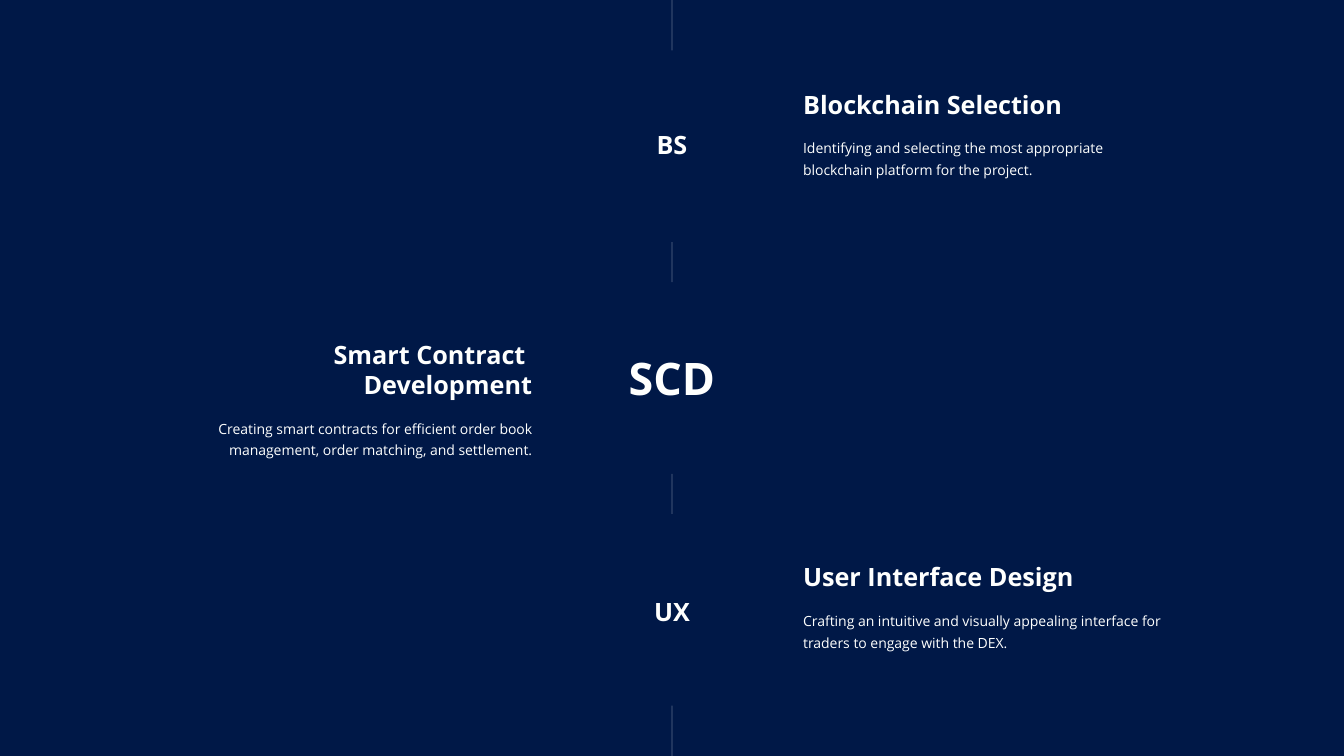
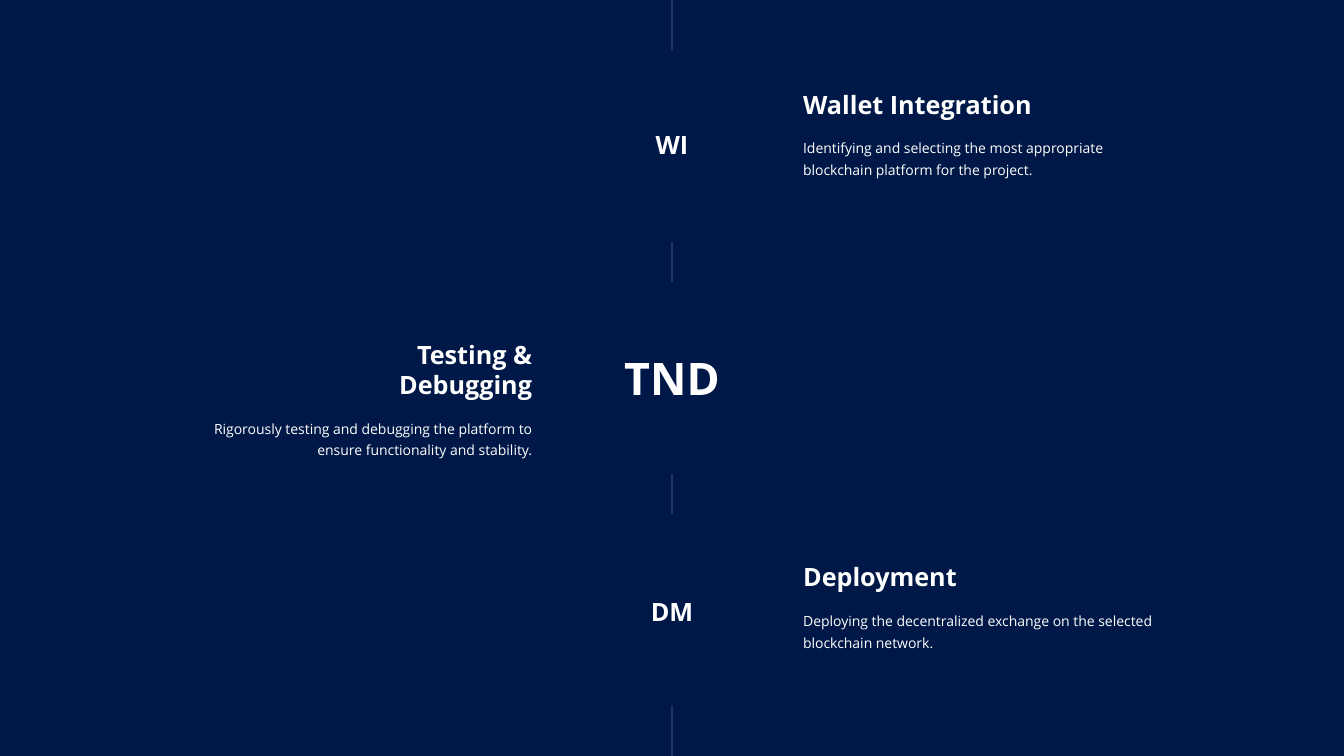
from dataclasses import dataclass

from lxml.etree import SubElement
from pptx import Presentation
from pptx.dml.color import RGBColor
from pptx.enum.shapes import MSO_CONNECTOR
from pptx.enum.text import MSO_AUTO_SIZE, PP_ALIGN
from pptx.oxml.ns import qn
from pptx.util import Cm, Pt


@dataclass(frozen=True)
class Theme:
    """Colours and type sizes shared by the slides."""
    background: RGBColor = RGBColor(0x00, 0x18, 0x47)
    ink: RGBColor = RGBColor(0xFE, 0xFF, 0xFE)
    font: str = "Open Sans"
    badge_large: int = 32
    heading: int = 18
    body: int = 10
    body_spacing: float = 1.3
    line_width: int = 1
    line_opacity: int = 20


@dataclass(frozen=True)
class Step:
    """One stage of the timeline."""
    badge: str
    heading: tuple
    heading_width: float
    body: str


THEME = Theme()

# Layout, in centimetres
SLIDE_W, SLIDE_H = 33.87, 19.05
AXIS_X = SLIDE_W / 2
BADGE_PITCH = 5.89
SEGMENT_START, SEGMENT_PITCH, SEGMENT_LENGTH = 0.26, 5.84, 1.01
COLUMN_W, RIGHT_COLUMN, LEFT_COLUMN_END = 9.14, 20.24, 13.41
HEADING_TOPS = (2.11, 8.41, 14.02)
HEADING_LINE, INSET, HEADING_GAP = 0.77, 0.13, 0.12
BODY_H = 1.37

TIMELINES = (
    (
        Step("BS", ("Blockchain Selection",), 6.6,
             "Identifying and selecting the most appropriate "
             "blockchain platform for the project."),
        Step("SCD", ("Smart Contract ", "Development"), 5.1,
             "Creating smart contracts for efficient order book "
             "management, order matching, and settlement."),
        Step("UX", ("User Interface Design",), 6.9,
             "Crafting an intuitive and visually appealing interface "
             "for traders to engage with the DEX."),
    ),
    (
        Step("WI", ("Wallet Integration",), 6.6,
             "Identifying and selecting the most appropriate "
             "blockchain platform for the project."),
        Step("TND", ("Testing &", "Debugging"), 3.4,
             "Rigorously testing and debugging the platform to "
             "ensure functionality and stability."),
        Step("DM", ("Deployment",), 3.95,
             "Deploying the decentralized exchange on the selected "
             "blockchain network."),
    ),
)


def add_text(s, box, lines, size, align, bold=False, spacing=None):
    """Add a text box with one paragraph per line."""
    tf = s.shapes.add_textbox(*map(Cm, box)).text_frame
    tf.word_wrap = True
    tf.auto_size = MSO_AUTO_SIZE.SHAPE_TO_FIT_TEXT
    tf.margin_left = tf.margin_right = 0
    tf.margin_top = tf.margin_bottom = Cm(INSET)
    for i, line in enumerate(lines):
        p = tf.add_paragraph() if i else tf.paragraphs[0]
        p.alignment = align
        if spacing:
            p.line_spacing = spacing
        r = p.add_run()
        r.text = line
        r.font.name = THEME.font
        r.font.size = Pt(size)
        r.font.bold = bold
        r.font.color.rgb = THEME.ink


def add_segment(s, top, bottom):
    """Add one faint piece of the vertical axis."""
    sp = s.shapes.add_connector(MSO_CONNECTOR.STRAIGHT, Cm(AXIS_X), Cm(top),
                                Cm(AXIS_X), Cm(bottom))
    sp.line.width = Pt(THEME.line_width)
    sp.line.color.rgb = THEME.ink
    color = sp.line._get_or_add_ln().find(".//" + qn("a:srgbClr"))
    SubElement(color, qn("a:alpha"), val=str(THEME.line_opacity * 1000))
    SubElement(sp._element.spPr, qn("a:effectLst"))


def add_axis(s):
    """Add the axis, leaving a gap for each badge."""
    for i in range(4):
        top = SEGMENT_START + i * SEGMENT_PITCH
        bottom = top + SEGMENT_LENGTH
        # The outer pieces run to the slide edges
        add_segment(s, top if i else 0, bottom if i < 3 else SLIDE_H)


def add_badge(s, text, row):
    """Centre a badge on the axis; the middle one is large."""
    large = row == 1
    size = THEME.badge_large if large else THEME.heading
    width, height = (2.5, 1.63) if large else (1.1, 1.02)
    middle = SLIDE_H / 2 + (row - 1) * BADGE_PITCH
    box = (AXIS_X - width / 2, middle - height / 2, width, height)
    add_text(s, box, [text], size, PP_ALIGN.CENTER, bold=True)


def add_description(s, step, row):
    """Add heading and body, on the left for the middle row."""
    on_left = row == 1
    align = PP_ALIGN.RIGHT if on_left else PP_ALIGN.LEFT

    def column(width):
        return LEFT_COLUMN_END - width if on_left else RIGHT_COLUMN

    top = HEADING_TOPS[row]
    height = len(step.heading) * HEADING_LINE + 2 * INSET
    add_text(s, (column(step.heading_width), top, step.heading_width, height),
             step.heading, THEME.heading, align, bold=True)
    body_top = top + height + HEADING_GAP
    add_text(s, (column(COLUMN_W), body_top, COLUMN_W, BODY_H), [step.body],
             THEME.body, align, spacing=THEME.body_spacing)


def add_timeline(prs, steps):
    """Add a slide with the axis and its three steps."""
    s = prs.slides.add_slide(prs.slide_layouts[6])
    add_axis(s)
    for row, step in enumerate(steps):
        add_badge(s, step.badge, row)
        add_description(s, step, row)


def main():
    prs = Presentation()
    prs.slide_width, prs.slide_height = Cm(SLIDE_W), Cm(SLIDE_H)
    # Shared background
    fill = prs.slide_master.background.fill
    fill.solid()
    fill.fore_color.rgb = THEME.background
    for steps in TIMELINES:
        add_timeline(prs, steps)
    prs.save("out.pptx")


if __name__ == "__main__":
    main()
